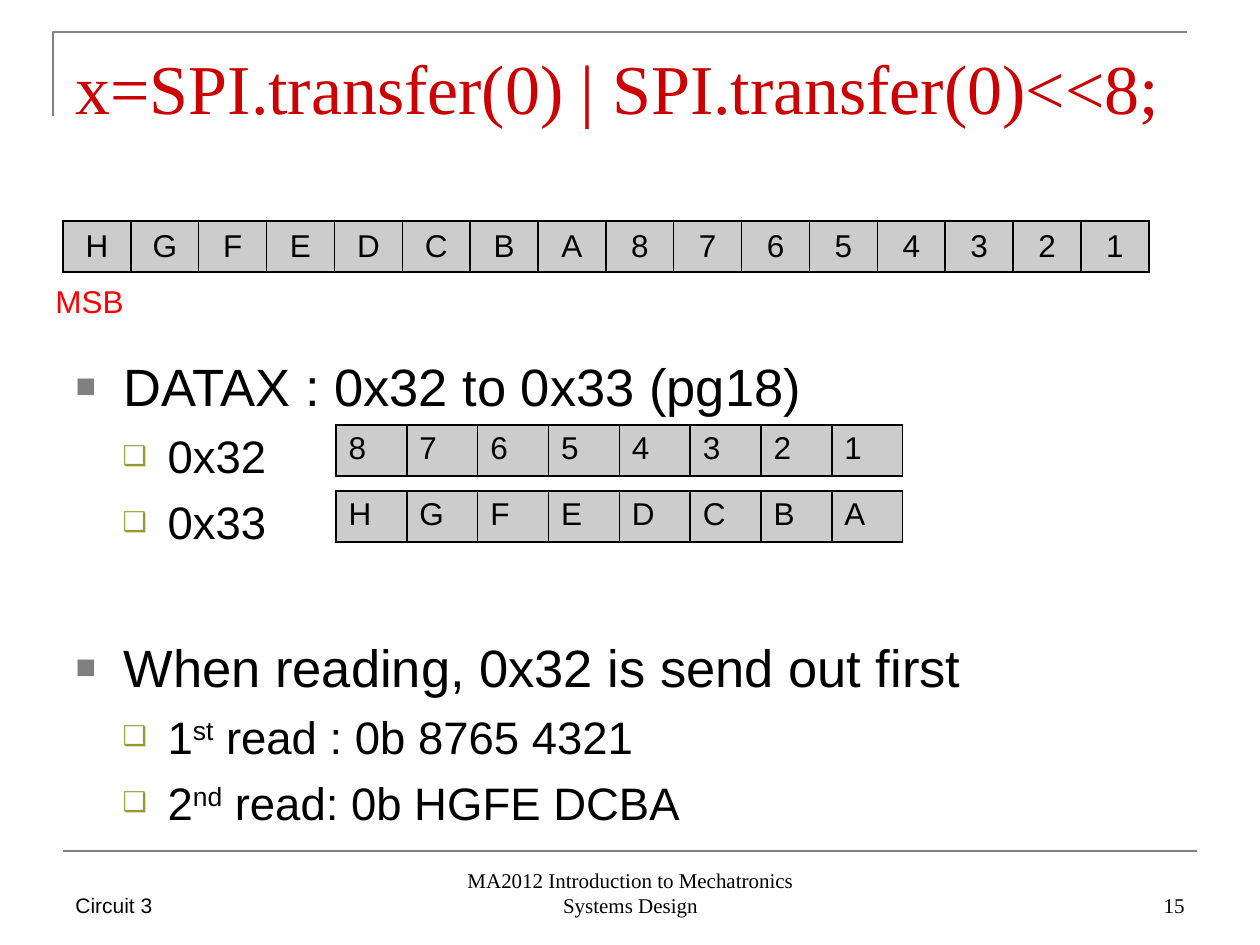
from lxml.etree import SubElement
from pptx import Presentation
from pptx.dml.color import RGBColor
from pptx.enum.shapes import MSO_CONNECTOR
from pptx.enum.text import MSO_ANCHOR, MSO_AUTO_SIZE, PP_ALIGN
from pptx.oxml.ns import qn
from pptx.util import Emu, Pt

SANS, SERIF = "Arial", "Times New Roman"
BLACK, GRAY, OLIVE, CELL = "000000", "808080", "999933", "CCCCCC"
RED, TITLE_RED = "FF0000", "CC0000"


def px(n):
    return Emu(round(n * 914400 / 126))


def rgb(value):
    return RGBColor.from_string(value)


class Deck:
    LEVELS = [
        dict(size=30, left=48, hang=48, char="■", color=GRAY, scale=65, before=7),
        dict(size=26, left=92, hang=45, char="❑", color=OLIVE, scale=60, before=6.5),
    ]

    def __init__(self):
        self.prs = Presentation()
        self.prs.slide_width, self.prs.slide_height = px(1260), px(945)
        self.s = self.prs.slides.add_slide(self.prs.slide_layouts[1])

    def place(self, sp, x, y, w, h):
        sp.left, sp.top, sp.width, sp.height = px(x), px(y), px(w), px(h)

    def run(self, p, text, size, font=SANS, color=BLACK):
        r = p.add_run()
        r.text = text
        r.font.size, r.font.name = Pt(size), font
        r.font.color.rgb = rgb(color)
        return r

    def title(self, text, x, y, w, h):
        sp = self.s.shapes.title
        self.place(sp, x, y, w, h)
        tf = sp.text_frame
        tf.auto_size, tf.vertical_anchor = MSO_AUTO_SIZE.NONE, MSO_ANCHOR.TOP
        p = tf.paragraphs[0]
        p.alignment = PP_ALIGN.LEFT
        self.run(p, text, 40, SERIF, TITLE_RED)

    def bullet(self, p, left, hang, char, color, scale):
        pPr = p._p.get_or_add_pPr()
        pPr.set("marL", str(px(left)))
        pPr.set("indent", str(-px(hang)))
        clr = SubElement(pPr, qn("a:buClr"))
        SubElement(clr, qn("a:srgbClr"), val=color)
        SubElement(pPr, qn("a:buSzPct"), val=str(scale * 1000))
        SubElement(pPr, qn("a:buChar"), char=char)

    def body(self, items, x, y, w, h):
        sp = self.s.placeholders[1]
        self.place(sp, x, y, w, h)
        tf = sp.text_frame
        tf.auto_size, tf.vertical_anchor = MSO_AUTO_SIZE.NONE, MSO_ANCHOR.TOP
        tf.margin_top = px(11)
        for i, (level, parts, extra) in enumerate(items):
            p = tf.add_paragraph() if i else tf.paragraphs[0]
            st = self.LEVELS[level]
            p.level = level
            self.bullet(p, st["left"], st["hang"], st["char"], st["color"], st["scale"])
            p.space_before = Pt(st["before"] + extra if i else 0)
            for k, text in enumerate(parts):
                r = self.run(p, text, st["size"])
                if k == 1:
                    r._r.get_or_add_rPr().set("baseline", "30000")

    def text(self, text, x, y, w, h, size=12, font=SERIF, color=BLACK,
             align=PP_ALIGN.LEFT, anchor=MSO_ANCHOR.BOTTOM):
        tf = self.s.shapes.add_textbox(px(x), px(y), px(w), px(h)).text_frame
        tf.word_wrap, tf.vertical_anchor = True, anchor
        p = tf.paragraphs[0]
        p.alignment = align
        self.run(p, text, size, font, color)

    def bits(self, labels, x, y, w, h, align=PP_ALIGN.LEFT, anchor=MSO_ANCHOR.TOP):
        n = len(labels)
        table = self.s.shapes.add_table(1, n, px(x), px(y), px(w), px(h)).table
        for col, label in enumerate(labels):
            table.columns[col].width = px(w / n)
            cell = table.cell(0, col)
            tcPr = cell._tc.get_or_add_tcPr()
            for side in ("lnL", "lnR", "lnT", "lnB"):
                ln = SubElement(tcPr, qn(f"a:{side}"), w=str(Pt(1)))
                fill = SubElement(ln, qn("a:solidFill"))
                SubElement(fill, qn("a:srgbClr"), val=BLACK)
            cell.fill.solid()
            cell.fill.fore_color.rgb = rgb(CELL)
            cell.vertical_anchor = anchor
            p = cell.text_frame.paragraphs[0]
            p.alignment = align
            r = self.run(p, label, 18)
            r.font.bold = False

    def stroke(self, sp):
        sp.line.color.rgb, sp.line.width = rgb(GRAY), Pt(1.5)

    def corner(self, x, y, w, h):
        fb = self.s.shapes.build_freeform(px(x), px(y + h))
        fb.add_line_segments([(px(x), px(y)), (px(x + w), px(y))], close=False)
        sp = fb.convert_to_shape()
        sp.shadow.inherit = False
        sp.fill.background()
        self.stroke(sp)

    def rule(self, x1, x2, y):
        cn = self.s.shapes.add_connector(
            MSO_CONNECTOR.STRAIGHT, px(x1), px(y), px(x2), px(y))
        self.stroke(cn)
        SubElement(cn._element.spPr, qn("a:effectLst"))


def main():
    d = Deck()
    d.corner(53, 32, 1134, 84)
    d.rule(63, 1197, 851)
    d.title("x=SPI.transfer(0) | SPI.transfer(0)<<8;", 63, 38, 1134, 157)
    d.body([
        (0, ["DATAX : 0x32 to 0x33 (pg18)"], 0),
        (1, ["0x32"], 0),
        (1, ["0x33"], 0),
        (0, ["When reading, 0x32 is send out first"], 42),
        (1, ["1", "st", " read : 0b 8765 4321"], 0),
        (1, ["2", "nd", " read: 0b HGFE DCBA"], 0),
    ], 63, 343, 1134, 521)
    low, high = "87654321", "HGFEDCBA"
    d.bits(high + low, 63, 221, 1086, 51, PP_ALIGN.CENTER, MSO_ANCHOR.MIDDLE)
    d.text("MSB", 43, 276, 121, 50, 18, SANS, RED, anchor=MSO_ANCHOR.TOP)
    for y, labels in ((425, low), (491, high)):
        d.bits(labels, 336, y, 567, 51)
    d.text("Circuit 3", 63, 861, 294, 63, font=SANS)
    d.text("MA2012 Introduction to Mechatronics Systems Design",
           431, 861, 399, 63, align=PP_ALIGN.CENTER)
    d.text("15", 903, 861, 294, 63, align=PP_ALIGN.RIGHT)
    d.prs.save("out.pptx")


if __name__ == "__main__":
    main()
